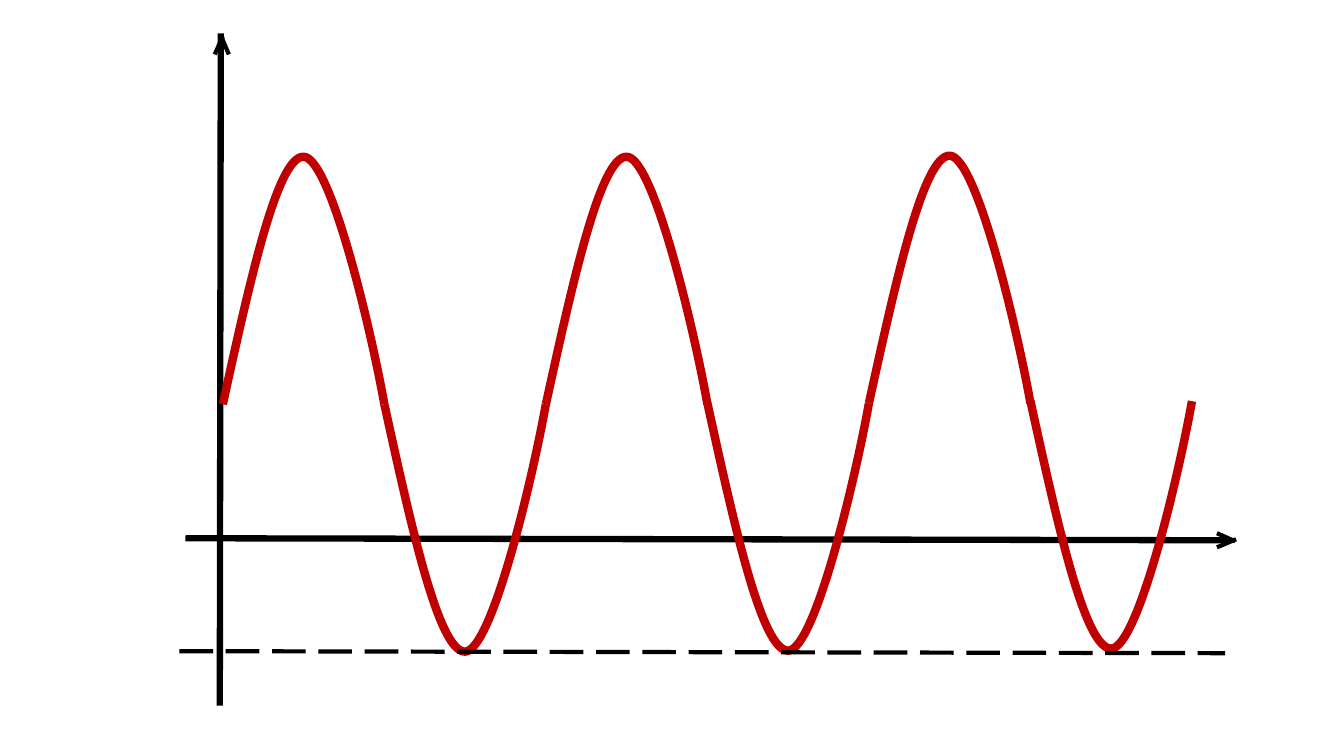
from lxml.etree import SubElement
from pptx import Presentation
from pptx.dml.color import RGBColor
from pptx.enum.dml import MSO_LINE
from pptx.enum.shapes import MSO_CONNECTOR
from pptx.oxml.ns import qn
from pptx.util import Inches, Pt

BLACK, RED = "000000", "C00000"
WAVE_LEFT, HALF_PERIOD, AMPLITUDE = 2.21, 1.602, 2.455
# Midline height at the start of each half wave
MIDLINES = [4.01, 4.01, 4.01, 4.0, 4.0, 3.98]
# Start point and two cubic segments: inches across, share of the amplitude
HALF_WAVE = [(0, 0), (0.27, 0.5), (0.54, 1), (0.8, 1),
             (1.07, 1), (1.48, 0.28), (HALF_PERIOD, 0)]


def rgb(color):
    return RGBColor.from_string(color)


def style_line(line, color, width):
    line.color.rgb = rgb(color)
    line.width = Pt(width)


def add_line(shapes, start, end, width, dash=None):
    line = shapes.add_connector(MSO_CONNECTOR.STRAIGHT,
                                *(Inches(v) for v in (*start, *end)))
    style_line(line.line, BLACK, width)
    if dash is not None:
        line.line.dash_style = dash
    SubElement(line._element.spPr, qn("a:effectLst"))
    return line


def add_arrowhead(shapes, *strokes):
    group = shapes.add_group_shape()
    for start, end in strokes:
        add_line(group.shapes, start, end, 3)


def add_half_wave(shapes, left, midline, direction):
    points = [(Inches(left + dx), Inches(midline + direction * AMPLITUDE * dy))
              for dx, dy in HALF_WAVE]
    builder = shapes.build_freeform(*points[0])
    builder.add_line_segments(points[1:], close=False)
    sp = builder.convert_to_shape()
    sp.shadow.inherit = False
    sp.fill.background()
    style_line(sp.line, RED, 6)

    # Turn every three line points into one cubic curve
    path = next(sp._element.iter(qn("a:path")))
    lines = path.findall(qn("a:lnTo"))
    for i in range(0, len(lines), 3):
        curve = SubElement(path, qn("a:cubicBezTo"))
        for line in lines[i:i + 3]:
            curve.append(line[0])
            path.remove(line)


def main():
    prs = Presentation()
    prs.slide_width, prs.slide_height = Inches(13.33), Inches(7.5)
    s = prs.slides.add_slide(prs.slide_layouts[6])

    # Axes
    add_line(s.shapes, (2.19, 0.33), (2.18, 7), 4.5)
    add_line(s.shapes, (1.84, 5.34), (12.2, 5.36), 4.5)
    add_arrowhead(s.shapes, ((2.21, 0.36), (2.13, 0.54)),
                  ((2.19, 0.35), (2.27, 0.54)))
    add_arrowhead(s.shapes, ((12.25, 5.37), (12.07, 5.29)),
                  ((12.26, 5.35), (12.07, 5.43)))

    # Wave: half periods alternately above and below the midline
    wave = s.shapes.add_group_shape()
    for i, midline in enumerate(MIDLINES):
        add_half_wave(wave.shapes, WAVE_LEFT + i * HALF_PERIOD, midline,
                      -1 if i % 2 == 0 else 1)

    # Level of the minima
    add_line(s.shapes, (1.78, 6.46), (12.15, 6.48), 3, MSO_LINE.LONG_DASH)

    prs.save("out.pptx")


if __name__ == "__main__":
    main()
